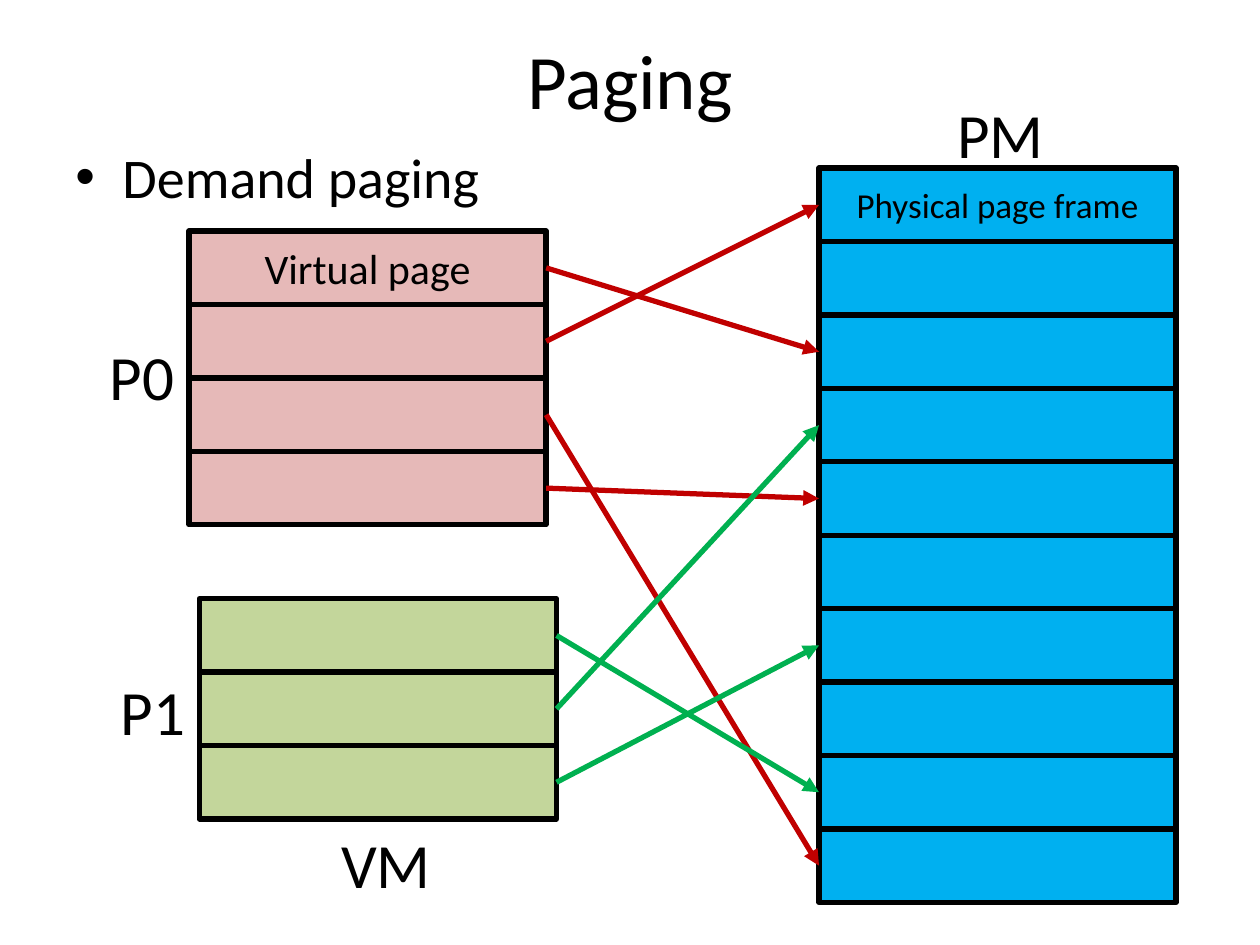
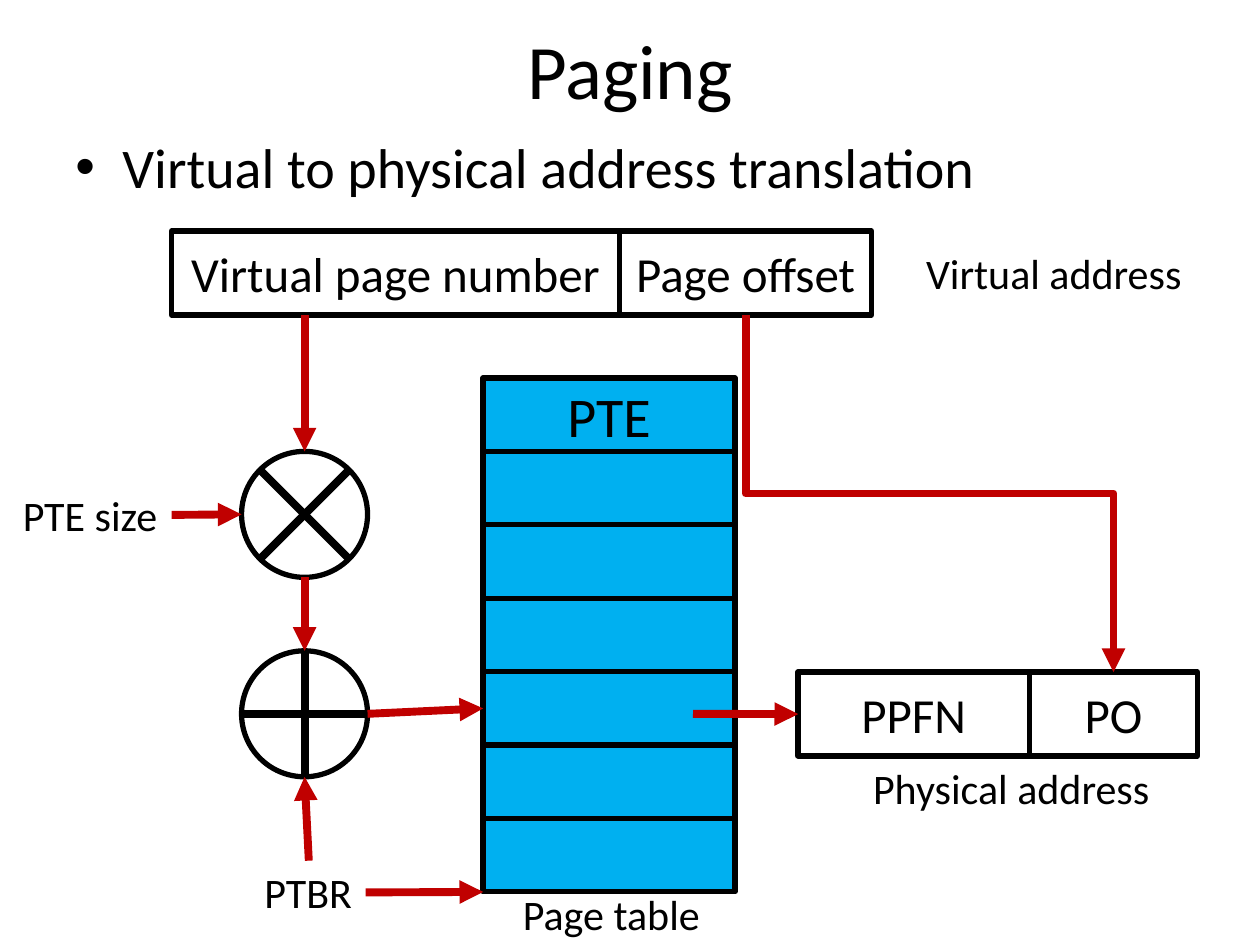
import math
from dataclasses import dataclass

import lxml.etree
import pptx
import pptx.dml.color
import pptx.enum.shapes
import pptx.enum.text
import pptx.oxml.ns
import pptx.util

Cm, Pt = pptx.util.Cm, pptx.util.Pt
qn = pptx.oxml.ns.qn
SHAPE = pptx.enum.shapes.MSO_SHAPE
CONNECTOR = pptx.enum.shapes.MSO_CONNECTOR
ALIGN = pptx.enum.text.PP_ALIGN
ANCHOR = pptx.enum.text.MSO_ANCHOR
AUTO_SIZE = pptx.enum.text.MSO_AUTO_SIZE
TOP, LEFT, BOTTOM, RIGHT = range(4)


@dataclass(frozen=True)
class Theme:
    font: str = "Calibri"
    ink: str = "000000"
    memory: str = "00B0F0"
    process0: str = "E6B9B8"
    process1: str = "C3D69B"
    arrow: str = "C00000"
    arrow1: str = "00B050"
    title: int = 44
    space: int = 36
    body: int = 32
    field: int = 28
    label: int = 24
    small: int = 20
    thin: float = 3
    thick: float = 4.5


THEME = Theme()

# Shared measures, in centimetres
PAGE_HEIGHT = 1.48
FIELD_HEIGHT = 1.69
CIRCLE = 2.54
INDENT = 0.95

# Slide 1 content: columns of pages, and the frame each virtual page maps to
MAPPING = {
    "title": ("Paging", (1.27, 0, 22.86, 3.18)),
    "bullet": ("Demand paging", (1.27, 2.75, 24.13, 16.3)),
    "labels": [
        ("P0", (1.96, 6.68, 1.85, 1.8)),
        ("P1", (2.18, 13.44, 1.83, 1.8)),
        ("VM", (6.63, 16.51, 2.34, 1.8)),
        ("PM", (19.05, 1.8, 2.26, 1.8)),
    ],
}
PAGE_WIDTH = 7.2
FRAMES = dict(left=16.51, top=3.39, count=10, fill=THEME.memory,
              heading="Physical page frame", size=THEME.small)
PROCESSES = [
    (dict(left=3.81, top=4.66, count=4, fill=THEME.process0,
          heading="Virtual page", size=THEME.label), THEME.arrow, [2, 0, 9, 4]),
    (dict(left=4.02, top=12.07, count=3, fill=THEME.process1),
     THEME.arrow1, [8, 3, 6]),
]

# Slide 2 content: address fields, page table, operators
TRANSLATION = {
    "title": ("Paging", (0, 0, 25.4, 2.75)),
    "bullet": ("Virtual to physical address translation", (1.27, 2.54, 24.13, 16.51)),
    "labels": [
        ("Virtual address", (18.42, 4.87, 5.72, 1.28)),
        ("Page table", (10.29, 17.78, 4.11, 1.28)),
        ("PTBR", (5.08, 17.35, 2.29, 1.28)),
        ("PTE size", (0.21, 9.74, 3.25, 1.28)),
        ("Physical address", (17.35, 15.24, 6.15, 1.28)),
    ],
}
ADDRESSES = [  # left, top, (field, width)
    (3.46, 4.66, [("Virtual page number", 9.03), ("Page offset", 5.08)]),
    (16.09, 13.55, [("PPFN", 4.66), ("PO", 3.39)]),
]
PAGE_TABLE = dict(left=9.74, top=7.62, width=5.08, count=7, fill=THEME.memory,
                  heading="PTE", size=THEME.body)
USED_ENTRY = 4
OPERATOR_X = 6.14
OPERATORS = [(10.37, 45), (14.39, 0)]  # centre height, angle of the cross


def rgb(value):
    return pptx.dml.color.RGBColor.from_string(value)


def apply(target, formats):
    for name, value in formats.items():
        setattr(target, name, value)


def write(frame, text, size, align=ALIGN.LEFT, **formats):
    apply(frame, formats)
    paragraph = frame.paragraphs[0]
    paragraph.alignment = align
    run = paragraph.add_run()
    run.text = text
    apply(run.font, dict(name=THEME.font, size=Pt(size)))
    run.font.color.rgb = rgb(THEME.ink)
    return paragraph


def add_box(slide, at, text="", size=THEME.field, fill=None, kind=SHAPE.RECTANGLE):
    box = slide.shapes.add_shape(kind, *map(Cm, at))
    box.shadow.inherit = False
    if fill:
        box.fill.solid()
        box.fill.fore_color.rgb = rgb(fill)
    else:
        box.fill.background()
    box.line.color.rgb = rgb(THEME.ink)
    box.line.width = Pt(THEME.thin)
    if text:
        write(box.text_frame, text, size, ALIGN.CENTER, word_wrap=True,
              vertical_anchor=ANCHOR.MIDDLE)
    return box


def add_column(slide, left, top, count, fill, width=PAGE_WIDTH, heading="", size=0):
    return [add_box(slide, (left, top + row * PAGE_HEIGHT, width, PAGE_HEIGHT),
                    "" if row else heading, size, fill)
            for row in range(count)]


def add_link(slide, start, end, color=THEME.arrow, width=THEME.thick, head=True,
             kind=CONNECTOR.STRAIGHT):
    """Each end is a point (x, y) in centimetres or a pair (box, side)."""
    free = [(0, 0) if hasattr(point[0], "shape_id") else point for point in (start, end)]
    link = slide.shapes.add_connector(kind, *[Cm(v) for point in free for v in point])
    for point, connect in ((start, link.begin_connect), (end, link.end_connect)):
        if hasattr(point[0], "shape_id"):
            connect(*point)
    link.line.color.rgb = rgb(color)
    link.line.width = Pt(width)
    if head:
        tail = lxml.etree.SubElement(link.line._get_or_add_ln(), qn("a:tailEnd"))
        tail.set("type", "triangle")
    lxml.etree.SubElement(link._element.spPr, qn("a:effectLst"))
    return link


def turn_downwards(link):
    """Make an elbow leave and arrive vertically: swap its sides and rotate it."""
    shift = (link.width - link.height) // 2
    apply(link, dict(left=link.left + shift, top=link.top - shift,
                     width=link.height, height=link.width))
    xfrm = link._element.spPr.find(qn("a:xfrm"))
    xfrm.set("rot", str(270 * 60000))
    xfrm.set("flipH", "1")


def add_page(deck, content, label_size):
    """Add title, bullet and labels; return the slide and its labels by text."""
    slide = deck.slides.add_slide(deck.slide_layouts[5])
    text, at = content["title"]
    title = slide.shapes.title
    apply(title, dict(zip(("left", "top", "width", "height"), map(Cm, at))))
    write(title.text_frame, text, THEME.title, ALIGN.CENTER,
          vertical_anchor=ANCHOR.MIDDLE)

    text, at = content["bullet"]
    body = slide.shapes.add_textbox(*map(Cm, at))
    paragraph = write(body.text_frame, text, THEME.body, word_wrap=True)
    paragraph.space_before = Pt(THEME.body * 0.2)
    properties = paragraph._p.get_or_add_pPr()
    properties.set("marL", str(Cm(INDENT)))
    properties.set("indent", str(-Cm(INDENT)))
    for tag, name, value in (("a:buFont", "typeface", "Arial"), ("a:buChar", "char", "•")):
        lxml.etree.SubElement(properties, qn(tag)).set(name, value)

    labels = {}
    for text, at in content["labels"]:
        labels[text] = slide.shapes.add_textbox(*map(Cm, at))
        write(labels[text].text_frame, text, label_size, word_wrap=False,
              auto_size=AUTO_SIZE.SHAPE_TO_FIT_TEXT)
    return slide, labels


def build_mapping(deck):
    slide, _ = add_page(deck, MAPPING, THEME.space)
    frames = add_column(slide, **FRAMES)
    for column, color, targets in PROCESSES:
        for page, target in zip(add_column(slide, **column), targets):
            add_link(slide, (page, RIGHT), (frames[target], LEFT), color, THEME.thin)


def build_translation(deck):
    slide, labels = add_page(deck, TRANSLATION, THEME.label)

    # Address fields and page table
    fields = {}
    for left, top, parts in ADDRESSES:
        for name, width in parts:
            fields[name] = add_box(slide, (left, top, width, FIELD_HEIGHT), name)
            left += width
    entries = add_column(slide, **PAGE_TABLE)

    # Multiply and add operators
    radius = CIRCLE / 2
    for y, angle in OPERATORS:
        add_box(slide, (OPERATOR_X - radius, y - radius, CIRCLE, CIRCLE), kind=SHAPE.OVAL)
        for turn in (angle, angle + 90):
            dx = radius * math.cos(math.radians(turn))
            dy = radius * math.sin(math.radians(turn))
            add_link(slide, (OPERATOR_X - dx, y - dy), (OPERATOR_X + dx, y + dy),
                     THEME.ink, head=False)

    # Arrows
    (multiply_y, _), (add_y, _) = OPERATORS
    address_bottom = ADDRESSES[0][1] + FIELD_HEIGHT
    table_bottom = PAGE_TABLE["top"] + PAGE_TABLE["count"] * PAGE_HEIGHT
    for start, end in [
        ((OPERATOR_X, address_bottom), (OPERATOR_X, multiply_y - radius)),
        ((labels["PTE size"], RIGHT), (OPERATOR_X - radius, multiply_y)),
        ((OPERATOR_X, multiply_y + radius), (OPERATOR_X, add_y - radius)),
        ((labels["PTBR"], TOP), (OPERATOR_X, add_y + radius)),
        ((labels["PTBR"], RIGHT), (PAGE_TABLE["left"], table_bottom)),
        ((OPERATOR_X + radius, add_y), (entries[USED_ENTRY], LEFT)),
        ((13.97, add_y), (fields["PPFN"], LEFT)),
    ]:
        add_link(slide, start, end)
    turn_downwards(add_link(slide, (fields["Page offset"], BOTTOM), (fields["PO"], TOP),
                            kind=CONNECTOR.ELBOW))


def main():
    deck = pptx.Presentation()
    apply(deck, dict(slide_width=Cm(25.4), slide_height=Cm(19.05)))
    build_mapping(deck)
    build_translation(deck)
    deck.save("out.pptx")


if __name__ == "__main__":
    main()
